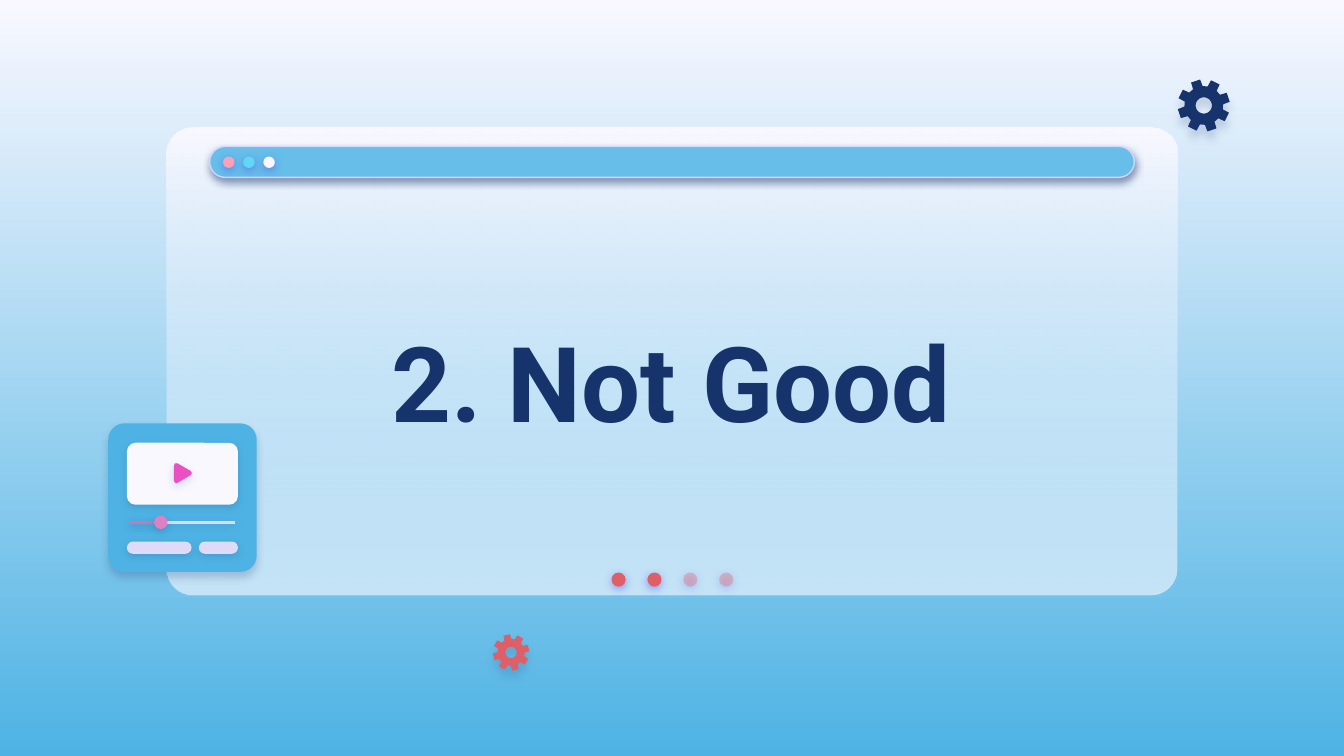
from math import cos, radians, sin

from lxml.etree import SubElement
from pptx import Presentation
from pptx.dml.color import RGBColor
from pptx.enum.shapes import MSO_CONNECTOR, MSO_SHAPE
from pptx.enum.text import MSO_ANCHOR, PP_ALIGN
from pptx.oxml.ns import qn
from pptx.util import Inches, Pt

NAVY = RGBColor(0x17, 0x33, 0x6B)
VIOLET = RGBColor(0x53, 0x52, 0xEE)
WHITE = RGBColor(0xF9, 0xF8, 0xFF)
SKY = RGBColor(0x4E, 0xB3, 0xE4)
BAR = RGBColor(0x66, 0xBE, 0xE9)
BAR_EDGE = RGBColor(0xD2, 0xD6, 0xFF)
LILAC = RGBColor(0xDE, 0xDB, 0xF9)
LILAC_EDGE = RGBColor(0xE0, 0xDD, 0xFB)
ROSE = RGBColor(0xFD, 0xA0, 0xB4)
CYAN = RGBColor(0x60, 0xD8, 0xF4)
RED = RGBColor(0xDF, 0x5F, 0x69)
PALE_RED = RGBColor(0xE2, 0x7B, 0x83)
PLAY = RGBColor(0xE9, 0x51, 0xC2)
TRACK = RGBColor(0xD0, 0x74, 0xB5)
KNOB = RGBColor(0xDD, 0x81, 0xC2)

prs = Presentation()
prs.slide_width, prs.slide_height = Inches(10), Inches(5.625)
U = prs.slide_width / 100  # the grid has 100 columns; rows are as tall as columns are wide
s = prs.slides.add_slide(prs.slide_layouts[6])

GLOW = (VIOLET, 50, 1.5)  # colour, opacity in percent, distance in points
SOFT = (NAVY, 16, 1.5)


def finish(sp, fill=None, edge=None, width=0.75, shadow=None):
    """Set fill, line and a downward shadow; shadow None means no shadow."""
    if fill is not None:
        sp.fill.solid()
        sp.fill.fore_color.rgb = fill
    if edge is not None:
        sp.line.color.rgb = edge
        sp.line.width = Pt(width)
    else:
        sp.line.fill.background()
    effects = SubElement(sp._element.spPr, qn("a:effectLst"))
    if shadow:
        color, opacity, distance = shadow
        outer = SubElement(effects, qn("a:outerShdw"), blurRad=str(Pt(4.5)), dist=str(Pt(distance)),
                           dir="5400000", algn="bl", rotWithShape="0")
        clr = SubElement(outer, qn("a:srgbClr"), val=str(color))
        SubElement(clr, qn("a:alpha"), val=str(opacity * 1000))
    return sp


def shape(kind, x, y, w, h, radius=None):
    """Add a preset shape placed in grid units."""
    sp = s.shapes.add_shape(kind, *(round(v * U) for v in (x, y, w, h)))
    if radius is not None:
        sp.adjustments[0] = radius
    return sp


# Background and window
panel_box = (12.4, 9.5, 75.2, 34.8, 0.056)
finish(shape(MSO_SHAPE.ROUNDED_RECTANGLE, *panel_box), WHITE)
glass = shape(MSO_SHAPE.ROUNDED_RECTANGLE, *panel_box)
for fill, end in ((s.background.fill, SKY), (glass.fill, BAR)):
    fill.gradient()
    fill.gradient_angle = 270
    for stop, position, color in zip(fill.gradient_stops, (0, 1), (WHITE, end)):
        stop.position = position
        stop.color.rgb = color
end_color = glass._element.spPr.findall(".//" + qn("a:srgbClr"))[-1]
SubElement(end_color, qn("a:alpha"), val="35000")
finish(glass)

finish(shape(MSO_SHAPE.ROUNDED_RECTANGLE, 15.6, 10.9, 68.8, 2.3, 0.5), BAR, BAR_EDGE,
       shadow=(NAVY, 50, 1.5))
for i, color in enumerate((ROSE, CYAN, WHITE)):
    finish(shape(MSO_SHAPE.OVAL, 16.6 + 1.5 * i, 11.65, 0.85, 0.85), color, shadow=GLOW)

# Page dots: two reached, two still to come
for i, color in enumerate((RED, RED, PALE_RED, PALE_RED)):
    dot = finish(shape(MSO_SHAPE.OVAL, 45.5 + 2.67 * i, 42.6, 1.05, 1.05), color, shadow=GLOW)
    if color == PALE_RED:
        SubElement(dot._element.spPr.find(".//" + qn("a:srgbClr")), qn("a:alpha"), val="44000")

# Gears: eight teeth round a hole
for cx, cy, r, turn, color, shadow in ((89.57, 7.85, 1.95, -108.5, NAVY, (NAVY, 16, 4.5)),
                                       (38.03, 48.55, 1.36, -104, RED, (NAVY, 15, 3.8))):
    teeth = [(turn + 45 * i + a, r * k) for i in range(8)
             for a, k in ((-15, 0.74), (-10.5, 1), (10.5, 1), (15, 0.74))]
    hole = [(-10 * i, 0.31 * r) for i in range(36)]
    rim, bore = ([((cx + d * cos(radians(a))) * U, (cy + d * sin(radians(a))) * U)
                  for a, d in ring] for ring in (teeth, hole))
    builder = s.shapes.build_freeform(*rim[0])
    builder.add_line_segments(rim[1:])
    builder.move_to(*bore[0])
    builder.add_line_segments(bore[1:])
    finish(builder.convert_to_shape(), color, shadow=shadow)

# Title
title = s.shapes.add_textbox(*(round(v * U) for v in (22.5, 18.8, 54.9, 19)))
tf = title.text_frame
tf.word_wrap = True
tf.vertical_anchor = MSO_ANCHOR.MIDDLE
tf.margin_left = tf.margin_right = tf.margin_top = tf.margin_bottom = Inches(0.1)
p = tf.paragraphs[0]
p.alignment = PP_ALIGN.CENTER
r = p.add_run()
r.text = "2. Not Good"
r.font.name, r.font.size, r.font.bold = "Roboto", Pt(56), True
r.font.color.rgb = NAVY

# Video player
for x, y, w, h, radius, fill, edge, shadow in (
        (8.05, 31.5, 11.05, 11.05, 0.11, SKY, None, (NAVY, 21, 3)),
        (9.5, 40.35, 4.7, 0.8, 0.5, LILAC, LILAC_EDGE, SOFT),
        (14.85, 40.35, 2.8, 0.8, 0.5, LILAC, LILAC_EDGE, SOFT),
        (9.5, 33, 8.15, 4.5, 0.13, WHITE, WHITE, SOFT)):
    finish(shape(MSO_SHAPE.ROUNDED_RECTANGLE, x, y, w, h, radius), fill, edge, 0.78, shadow)

play = [(x * U, y * U) for x, y in (
    (12.94, 34.65), (13.02, 34.48), (13.2, 34.47), (14.2, 35.05), (14.28, 35.2),
    (14.2, 35.35), (13.2, 35.93), (13.02, 35.92), (12.94, 35.75))]
builder = s.shapes.build_freeform(*play[0])
builder.add_line_segments(play[1:])
finish(builder.convert_to_shape(), PLAY, shadow=SOFT)

for x_end, color in ((17.45, LILAC), (12.2, TRACK)):
    track = s.shapes.add_connector(
        MSO_CONNECTOR.STRAIGHT, *(round(v * U) for v in (9.6, 38.87, x_end, 38.87)))
    finish(track, edge=color, width=1.5, shadow=SOFT)
finish(shape(MSO_SHAPE.OVAL, 11.47, 38.37, 1, 1), KNOB, shadow=SOFT)

prs.save("out.pptx")
